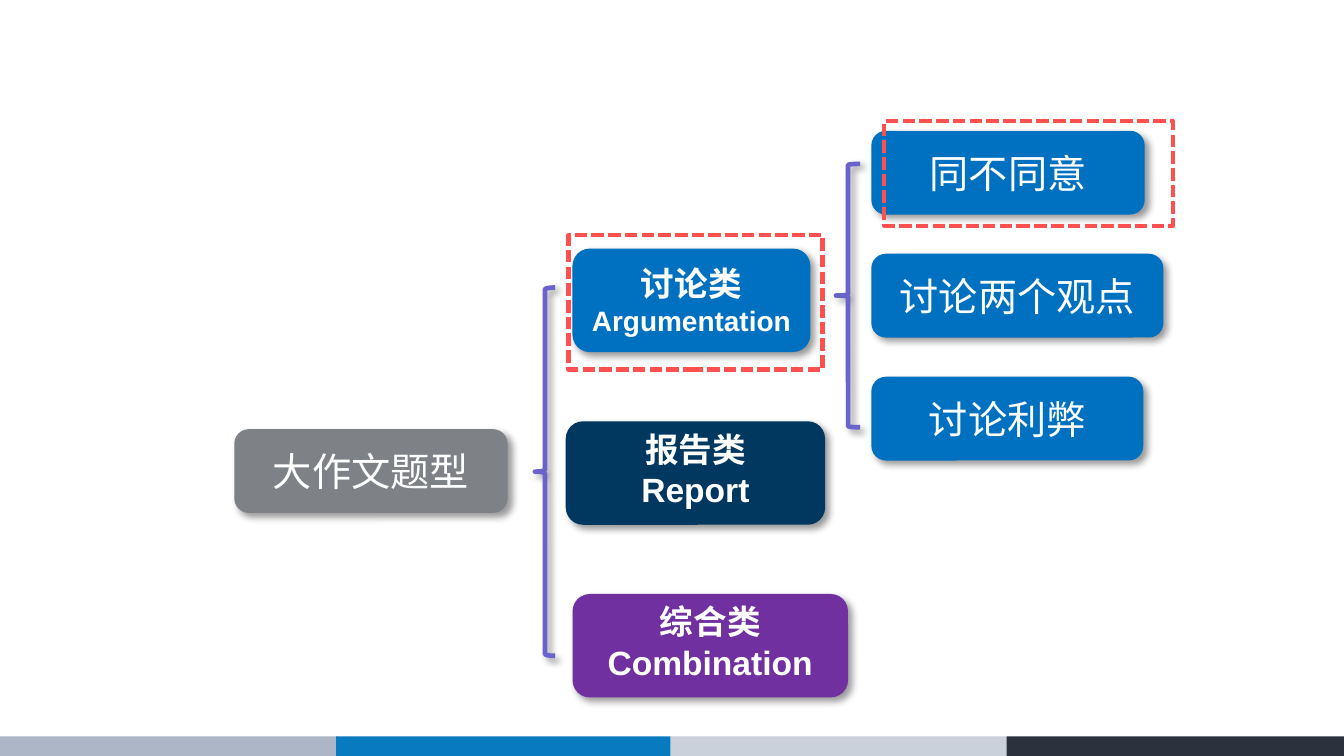
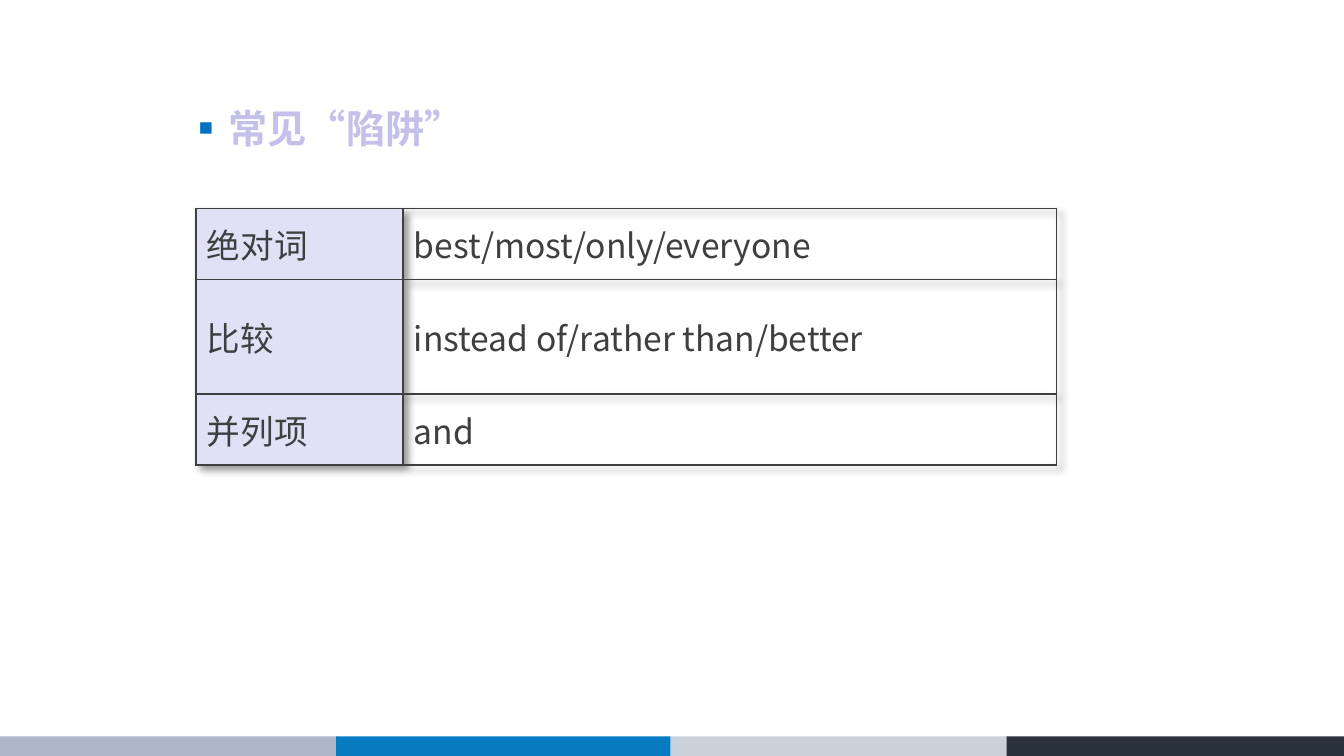
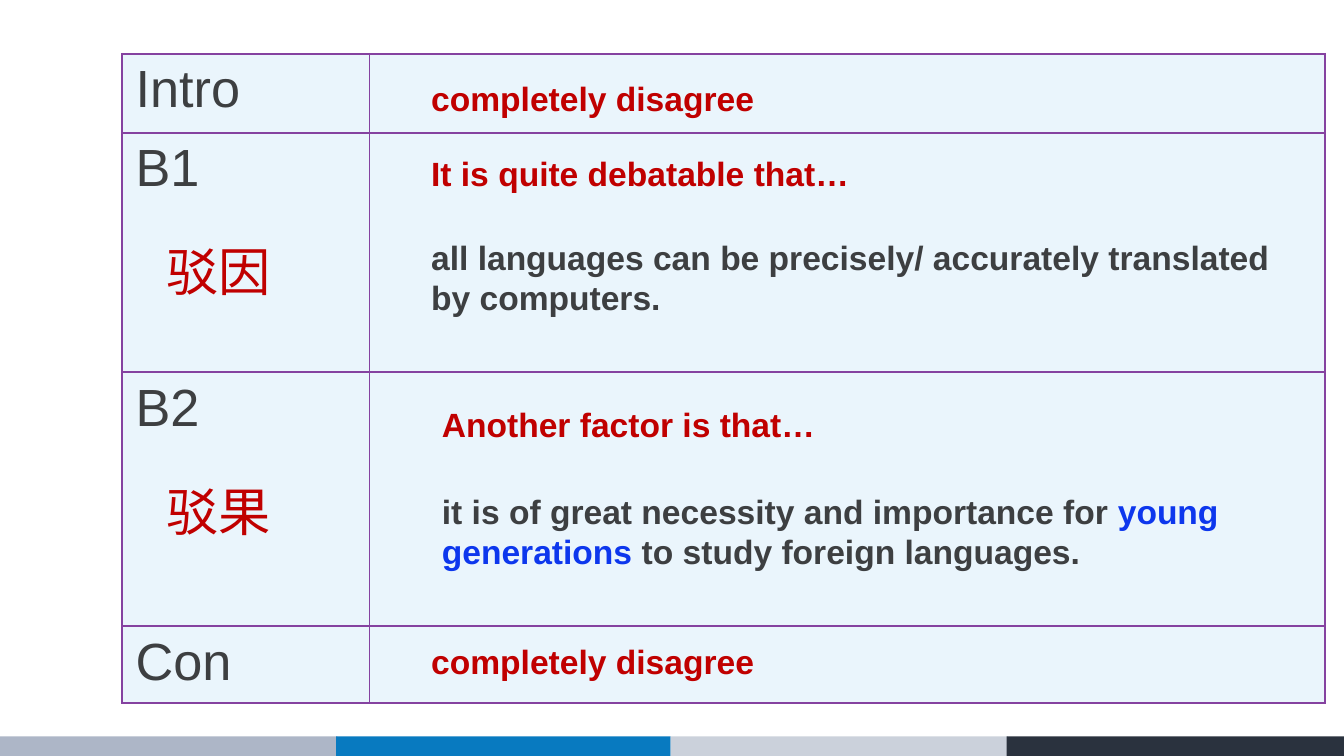
import pptx
import pptx.util
import pptx.dml.color
import pptx.enum.dml
import pptx.enum.shapes
import pptx.enum.text
import pptx.oxml
import pptx.oxml.ns

Inches, Pt = pptx.util.Inches, pptx.util.Pt
SHAPE = pptx.enum.shapes.MSO_SHAPE
ANCHOR = pptx.enum.text.MSO_ANCHOR
ALIGN = pptx.enum.text.PP_ALIGN
qn = pptx.oxml.ns.qn

COLORS = {
    "white": "FFFFFF", "ink": "3D3F41", "blue": "0070C0", "navy": "003860",
    "purple": "7030A0", "gray": "7E8286", "brace": "6A63CB", "focus": "FF5050",
    "lilac": "C3C1EA", "pale_lilac": "E1E0F5", "pale_blue": "EAF5FC",
    "plum": "8542A0", "red": "C00000", "link_blue": "0D37ED", "shadow": "000000",
}
# Left, width, colour
BAND = [(0, 2.51, "ADB6C7"), (2.5, 2.49, "087AC0"), (4.99, 2.51, "CBD1DB"),
        (7.49, 2.51, "2A323E")]
LATIN, CJK = "Arial", "Noto Sans CJK SC"

# Essay types: left, width, colour, bottom margin, text, size of each line
ROOT = ("大作文题型", 1.75, 3.2, 2.02)
CATEGORIES = [
    (4.26, 1.77, "blue", 0.05, "讨论类\vArgumentation", [18, 15]),
    (4.21, 1.93, "navy", 0.11, "报告类\nReport", [18, 18]),
    (4.26, 2.05, "purple", 0.11, "综合类\nCombination", [18, 18]),
]
QUESTIONS = [("同不同意", 2.02), ("讨论两个观点", 2.16), ("讨论利弊", 2.01)]
BRACES = [((3.98, 2.14, 0.15, 2.74), 0.083), ((6.22, 1.22, 0.18, 1.96), 0.045)]
FOCUS_FRAMES = [(4.23, 1.75, 1.89, 1), (6.58, 0.9, 2.15, 0.78)]

TRAP_TITLE = "常见“陷阱”"
TRAPS = [
    ("绝对词", "best/most/only/everyone"),
    ("比较", "instead of/rather than/better"),
    ("并列项", "and"),
]

OUTLINE = [("Intro", ""), ("B1", ""), ("B2", ""), ("Con", "")]
# Left, top, width, height, size, font, runs as (text, colour)
OUTLINE_NOTES = [
    (3.11, 0.53, 3.32, 0.4, 18, LATIN, [("completely disagree", "red")]),
    (3.11, 1.09, 3.86, 0.4, 18, LATIN, [("It is quite debatable that…", "red")]),
    (3.19, 2.96, 4.13, 0.4, 18, LATIN, [("Another factor is that…", "red")]),
    (3.11, 4.72, 5.39, 0.4, 18, LATIN, [("completely disagree", "red")]),
    (1.14, 1.73, 1.33, 0.57, 28, CJK, [("驳因", "red")]),
    (1.14, 3.52, 1, 0.57, 28, CJK, [("驳果", "red")]),
    (3.11, 1.71, 6.53, 0.71, 18, LATIN,
     [("all languages can be precisely/ accurately translated by computers.", "ink")]),
    (3.19, 3.6, 6.67, 0.71, 18, LATIN,
     [("it is of great necessity and importance for ", "ink"),
      ("young generations ", "link_blue"),
      ("to study foreign languages.", "ink")]),
]


def rgb(name):
    return pptx.dml.color.RGBColor.from_string(COLORS.get(name, name))


def xml(markup):
    """Parse one DrawingML element, written with the a: prefix."""
    head, tail = markup.split(">", 1)
    slash = "/" if head.endswith("/") else ""
    return pptx.oxml.parse_xml(
        f"{head.rstrip('/')} {pptx.oxml.ns.nsdecls('a')}{slash}>{tail}")


def solid(color):
    return f'<a:solidFill><a:srgbClr val="{COLORS[color]}"/></a:solidFill>'


def outer_shadow():
    return xml(f'<a:outerShdw blurRad="{Pt(4)}" dist="{Pt(3)}" dir="2700000" algn="tl">'
               f'<a:srgbClr val="{COLORS["shadow"]}"><a:alpha val="40000"/></a:srgbClr>'
               '</a:outerShdw>')


def style_run(r, size, color, font=LATIN, bold=False):
    r.font.size, r.font.bold, r.font.name = Pt(size), bold, font
    r.font.color.rgb = rgb(color)
    r.font._element.find(qn("a:latin")).addnext(xml(f'<a:ea typeface="{CJK}"/>'))


def add_shape(slide, kind, box, fill=None, line=None, width=1, shadow=False):
    sp = slide.shapes.add_shape(kind, *map(Inches, box))
    if fill:
        sp.fill.solid()
        sp.fill.fore_color.rgb = rgb(fill)
    else:
        sp.fill.background()
    if line:
        sp.line.color.rgb = rgb(line)
        sp.line.width = Pt(width)
    else:
        sp.line.fill.background()
    sp.shadow.inherit = False
    if shadow:
        sp.element.spPr.find(qn("a:effectLst")).append(outer_shadow())
    return sp


def add_node(slide, box, fill, text, sizes, line=None, bold=False, margin_bottom=0.05):
    sp = add_shape(slide, SHAPE.ROUNDED_RECTANGLE, box, fill, line, shadow=True)
    tf = sp.text_frame
    tf.word_wrap = True
    tf.vertical_anchor = ANCHOR.MIDDLE
    tf.margin_bottom = Inches(margin_bottom)
    tf.text = text
    for p in tf.paragraphs:
        p.alignment = ALIGN.CENTER
    for r, size in zip([r for p in tf.paragraphs for r in p.runs], sizes):
        style_run(r, size, "white", bold=bold)


def add_table(slide, left, top, cols, row_heights, rows, fills, border, size, font,
              anchor, margins):
    frame = slide.shapes.add_table(len(rows), len(cols), Inches(left), Inches(top),
                                   Inches(sum(cols)), Inches(sum(row_heights)))
    table = frame.table
    table.first_row = table.horz_banding = False
    for column, width in zip(table.columns, cols):
        column.width = Inches(width)
    for row, height, texts in zip(table.rows, row_heights, rows):
        row.height = Inches(height)
        for cell, text, fill in zip(row.cells, texts, fills):
            cell.margin_left = cell.margin_right = Inches(margins[0])
            cell.margin_top = cell.margin_bottom = Inches(margins[1])
            cell.vertical_anchor = anchor
            if fill:
                cell.fill.solid()
                cell.fill.fore_color.rgb = rgb(fill)
            else:
                cell.fill.background()
            for i, side in enumerate(("lnL", "lnR", "lnT", "lnB")):
                cell._tc.get_or_add_tcPr().insert(
                    i, xml(f'<a:{side} w="{Pt(1)}">{solid(border)}</a:{side}>'))
            if text:
                cell.text = text
                style_run(cell.text_frame.paragraphs[0].runs[0], size, "ink", font)
    return table


def add_band(prs, slide):
    """Draw the bottom band and move it to the master that all slides share."""
    tree = prs.slide_master.shapes.element
    for i, (left, width, color) in enumerate(BAND):
        sp = add_shape(slide, SHAPE.RECTANGLE, (left, 5.48, width, 0.16), color)
        sp.element.nvSpPr.cNvPr.set("id", str(101 + i))
        tree.insert(2 + i, sp.element)


def build_types(slide):
    for i, (left, width, color, margin, text, sizes) in enumerate(CATEGORIES):
        add_node(slide, (left, 1.85 + 1.285 * i, width, 0.77), color, text, sizes,
                 bold=True, margin_bottom=margin)
    for box, curl in BRACES:
        sp = add_shape(slide, SHAPE.LEFT_BRACE, box, line="brace", width=2.5, shadow=True)
        sp.adjustments[0] = curl
    for i, (text, width) in enumerate(QUESTIONS):
        add_node(slide, (6.49, 0.98 + 0.915 * i, width, 0.61), "blue", text, [21], "blue")
    text, left, top, width = ROOT
    add_node(slide, (left, top, width, 0.61), "gray", text, [21], "gray")
    for box in FOCUS_FRAMES:
        sp = add_shape(slide, SHAPE.RECTANGLE, box, line="focus", width=2.25)
        sp.line.dash_style = pptx.enum.dml.MSO_LINE.SQUARE_DOT


def build_traps(slide):
    title = slide.shapes.title.element
    title.getparent().remove(title)
    table = add_table(slide, 1.46, 1.55, [1.54, 4.86], [0.53, 0.85, 0.53], TRAPS,
                      ["pale_lilac", None], "ink", 18, CJK, ANCHOR.MIDDLE, (0.08, 0.04))
    effects = xml("<a:effectLst/>")
    effects.append(outer_shadow())
    table._tbl.tblPr.insert(0, effects)

    body = slide.placeholders[1]
    body.left, body.top, body.width, body.height = map(Inches, (1.38, 0.69, 6.47, 0.64))
    body.text_frame.text = TRAP_TITLE
    p = body.text_frame.paragraphs[0]
    pPr = p._p.get_or_add_pPr()
    pPr.set("marL", str(Inches(0.22)))
    pPr.set("indent", str(-Inches(0.22)))
    for markup in (f'<a:buClr><a:srgbClr val="{COLORS["blue"]}"/></a:buClr>',
                   '<a:buSzPct val="60000"/>', f'<a:buFont typeface="{LATIN}"/>',
                   '<a:buChar char="■"/>'):
        pPr.append(xml(markup))
    p.line_spacing, p.space_before, p.space_after = 1.1, Pt(0), Pt(2.2)
    style_run(p.runs[0], 21, "lilac", CJK, True)
    p.runs[0].font._element.insert(0, xml(f'<a:ln w="{Pt(1.75)}">{solid("brace")}</a:ln>'))


def build_outline(slide):
    add_table(slide, 0.91, 0.4, [1.84, 7.11], [0.59, 1.78, 1.89, 0.57], OUTLINE,
              ["pale_blue"] * 2, "plum", 28, LATIN, ANCHOR.TOP, (0.1, 0.05))
    for left, top, width, height, size, font, runs in OUTLINE_NOTES:
        box = slide.shapes.add_textbox(*map(Inches, (left, top, width, height)))
        tf = box.text_frame
        tf.word_wrap = True
        tf.auto_size = pptx.enum.text.MSO_AUTO_SIZE.SHAPE_TO_FIT_TEXT
        for text, color in runs:
            r = tf.paragraphs[0].add_run()
            r.text = text
            style_run(r, size, color, font, bold=font == LATIN)


def main():
    prs = pptx.Presentation()
    prs.slide_width = Inches(10)
    prs.slide_height = prs.slide_width * 9 // 16
    content, blank = prs.slide_layouts[1], prs.slide_layouts[6]
    types, traps, outline = [prs.slides.add_slide(layout)
                             for layout in (blank, content, blank)]
    add_band(prs, types)
    build_types(types)
    build_traps(traps)
    build_outline(outline)
    prs.save("out.pptx")


if __name__ == "__main__":
    main()
